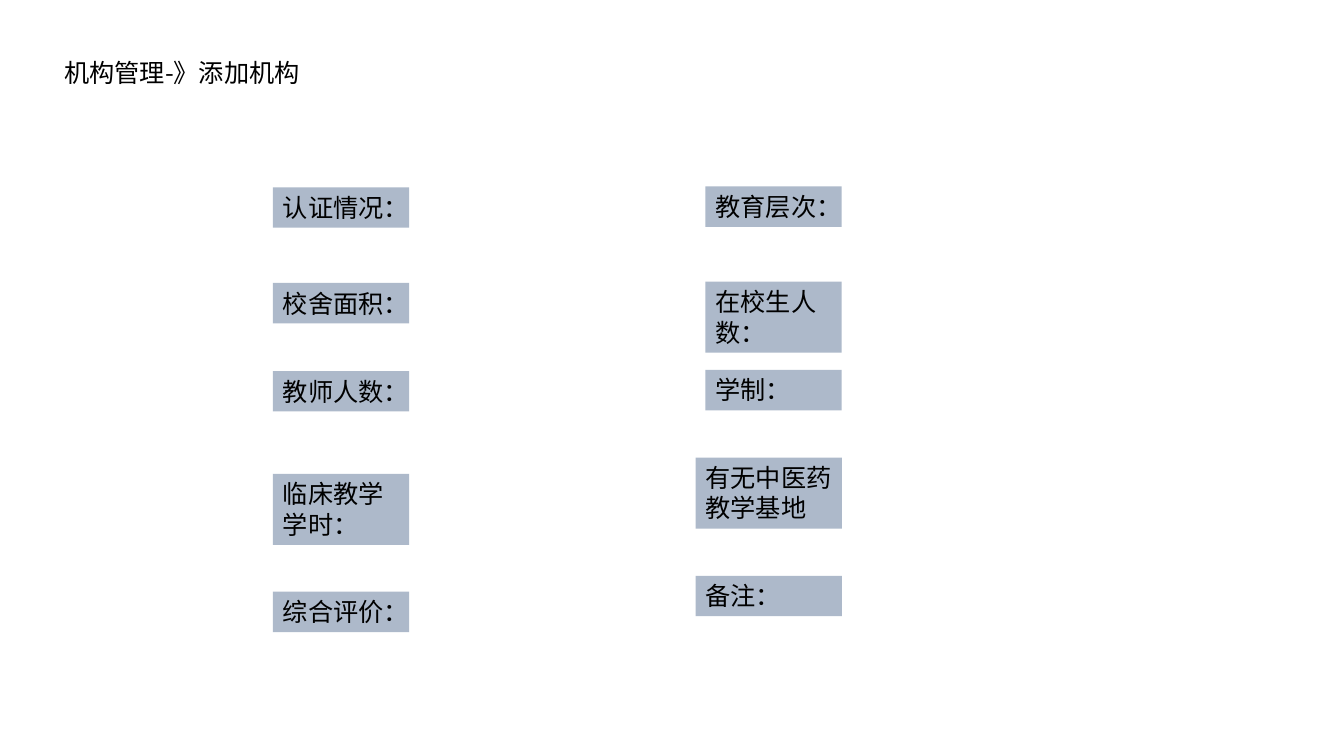
"""Build the slide with the form labels for adding an institution."""
from dataclasses import dataclass

import lxml.etree
import pptx
import pptx.dml.color
import pptx.enum.lang
import pptx.enum.shapes
import pptx.enum.text
import pptx.oxml.ns
import pptx.slide
import pptx.text.text
import pptx.util

Cm = pptx.util.Cm
FONT = "Noto Sans CJK SC"
COLORS = {"text": "000000", "label": "ADB9CA"}
LINE, PAD = 0.77, 0.25


@dataclass(frozen=True)
class Label:
    text: str
    left: float
    top: float
    width: float
    lines: int = 1


TITLE = Label("机构管理-》添加机构", 1.37, 1.32, 10.46)
LABELS = [
    Label("认证情况：", 6.88, 4.72, 3.43),
    Label("教育层次：", 17.78, 4.7, 3.43),
    Label("校舍面积：", 6.88, 7.13, 3.43),
    Label("在校生人数：", 17.78, 7.1, 3.43, 2),
    Label("教师人数：", 6.88, 9.35, 3.43),
    Label("学制：", 17.78, 9.32, 3.43),
    Label("临床教学学时：", 6.88, 11.94, 3.43, 2),
    Label("有无中医药教学基地", 17.53, 11.53, 3.69, 2),
    Label("综合评价：", 6.88, 14.91, 3.43),
    Label("备注：", 17.53, 14.51, 3.69),
]


def color(name: str) -> pptx.dml.color.RGBColor:
    return pptx.dml.color.RGBColor.from_string(COLORS[name])


def frame(label: Label) -> tuple[int, int, int, int]:
    high = label.lines * LINE + PAD
    return Cm(label.left), Cm(label.top), Cm(label.width), Cm(high)


def write(box: pptx.text.text.TextFrame, text: str) -> None:
    box.word_wrap = True
    box.auto_size = pptx.enum.text.MSO_AUTO_SIZE.SHAPE_TO_FIT_TEXT
    box.vertical_anchor = pptx.enum.text.MSO_ANCHOR.TOP
    para = box.paragraphs[0]
    para.alignment = pptx.enum.text.PP_ALIGN.LEFT
    run = para.add_run()
    run.text = text
    font = run.font
    font.size = pptx.util.Pt(18)
    font.language_id = pptx.enum.lang.MSO_LANGUAGE_ID.SIMPLIFIED_CHINESE
    font.color.rgb = color("text")
    font.name = FONT
    props = run._r.get_or_add_rPr()
    lxml.etree.SubElement(props, pptx.oxml.ns.qn("a:ea"), typeface=FONT)


def draw(slide: pptx.slide.Slide, label: Label) -> None:
    kind = pptx.enum.shapes.MSO_SHAPE.RECTANGLE
    shape = slide.shapes.add_shape(kind, *frame(label))
    shape.shadow.inherit = False
    shape.fill.solid()
    shape.fill.fore_color.rgb = color("label")
    shape.line.fill.background()
    write(shape.text_frame, label.text)


def main() -> None:
    deck = pptx.Presentation()
    deck.slide_width, deck.slide_height = Cm(33.87), Cm(19.05)
    slide = deck.slides.add_slide(deck.slide_layouts[6])
    write(slide.shapes.add_textbox(*frame(TITLE)).text_frame, TITLE.text)
    for label in LABELS:
        draw(slide, label)
    deck.save("out.pptx")


if __name__ == "__main__":
    main()
